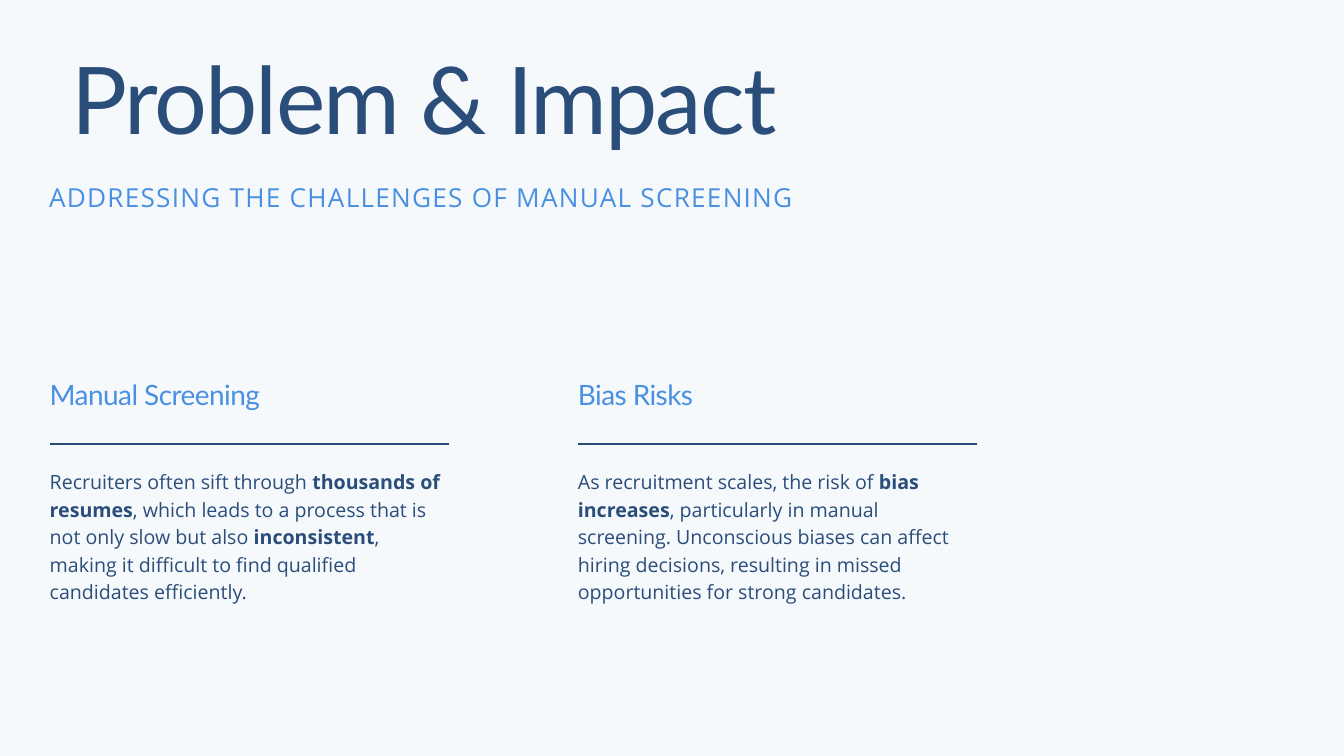
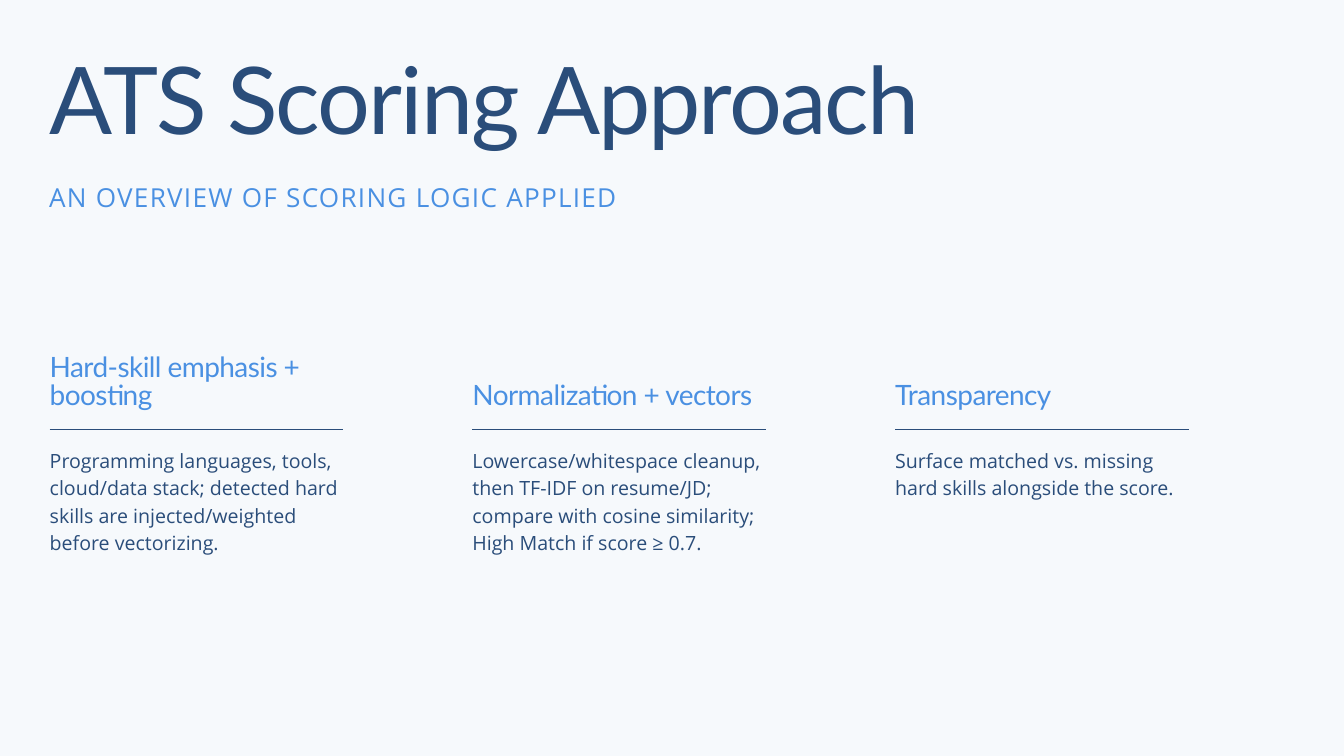
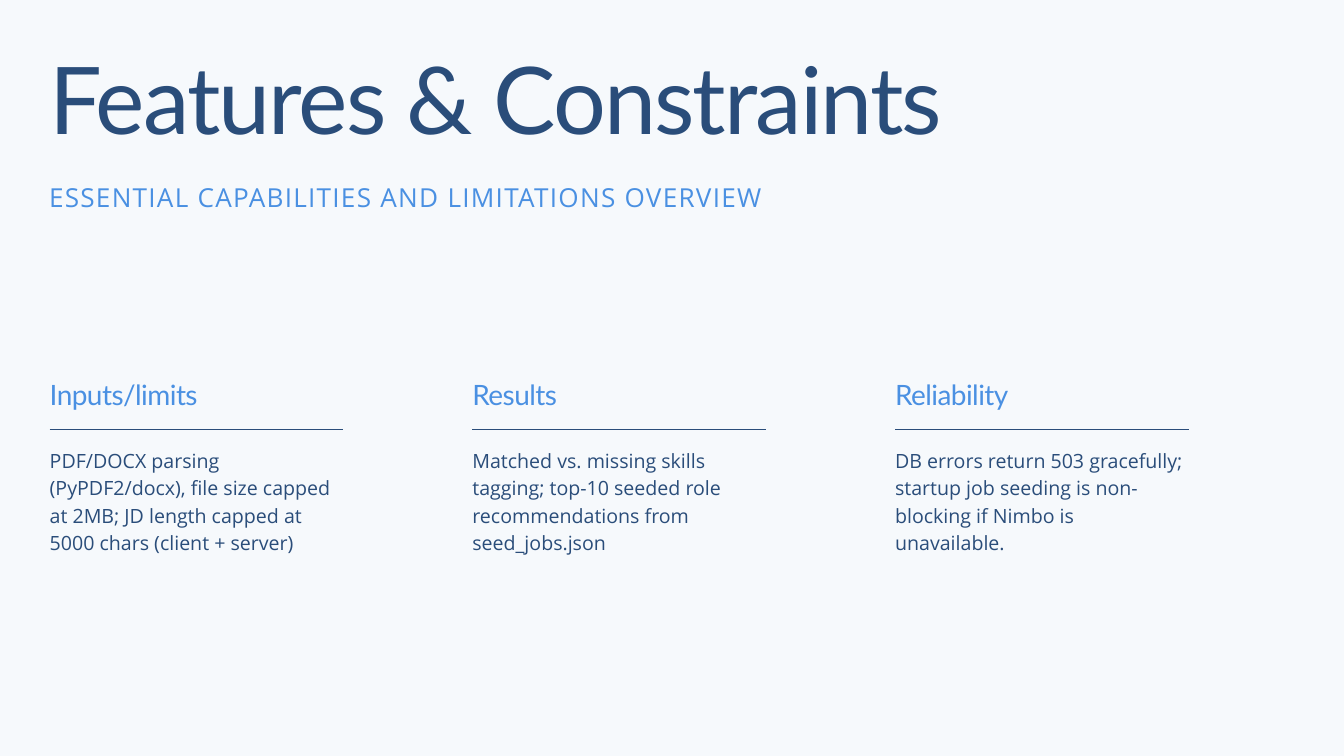
from dataclasses import dataclass

from pptx import Presentation
from pptx.dml.color import RGBColor
from pptx.enum.shapes import MSO_CONNECTOR
from pptx.enum.text import MSO_ANCHOR, MSO_AUTO_SIZE, PP_ALIGN
from pptx.oxml.ns import qn
from pptx.util import Inches, Pt

STRAIGHT = MSO_CONNECTOR.STRAIGHT
TOP = MSO_ANCHOR.TOP
GROW = MSO_AUTO_SIZE.SHAPE_TO_FIT_TEXT
LEFT = PP_ALIGN.LEFT


@dataclass(frozen=True)
class TextStyle:
    font: str
    size: float
    line: float
    color: RGBColor
    tracking: float = 0


@dataclass(frozen=True)
class Box:
    left: float
    top: float
    width: float
    height: float


class Theme:
    paper = RGBColor.from_string("F6F9FC")
    navy = RGBColor.from_string("2A4D7A")
    blue = RGBColor.from_string("4A90E2")
    title = TextStyle("Lato", 100, 100, navy, -2)
    subtitle = TextStyle("Open Sans", 28, 36.4, blue, 1.4)
    heading = TextStyle("Lato", 30, 30, blue, -0.6)
    body = TextStyle("Open Sans", 21, 29.4, navy)
    rule_width = 1.5


MARGIN = 0.74
COLUMN_GAP = 1.92
HEADING_BOTTOM = 6.12
HEADING_LINE = 0.42

SLIDES = [
    {
        "title": " Problem & Impact",
        "subtitle": "ADDRESSING THE CHALLENGES OF MANUAL SCREENING",
        "header_width": 16.97,
        "column_width": 5.94,
        "rule_top": 6.61,
        "body_top": 6.94,
        "columns": [
            ("Manual Screening", 1,
             "Recruiters often sift through **thousands of resumes**, which leads to a process "
             "that is not only slow but also **inconsistent**, making it difficult to find "
             "qualified candidates efficiently.", 1.62),
            ("Bias Risks", 1,
             "As recruitment scales, the risk of **bias increases**, particularly in manual "
             "screening. Unconscious biases can affect hiring decisions, resulting in missed "
             "opportunities for strong candidates.", 2.02),
        ],
    },
    {
        "title": "ATS Scoring Approach",
        "subtitle": "AN OVERVIEW OF SCORING LOGIC APPLIED",
        "header_width": 15.4,
        "column_width": 4.37,
        "rule_top": 6.39,
        "body_top": 6.62,
        "columns": [
            ("Hard-skill emphasis + boosting", 2,
             "Programming languages, tools, cloud/data stack; detected hard skills are "
             "injected/weighted before vectorizing.", 1.62),
            ("Normalization + vectors", 1,
             "Lowercase/whitespace cleanup, then TF-IDF on resume/JD; compare with cosine "
             "similarity; High Match if score ≥ 0.7.", 1.62),
            ("Transparency", 1,
             "Surface matched vs. missing hard skills alongside the score.", 0.81),
        ],
    },
    {
        "title": "Features & Constraints",
        "subtitle": "ESSENTIAL CAPABILITIES AND LIMITATIONS OVERVIEW",
        "header_width": 15.4,
        "column_width": 4.37,
        "rule_top": 6.39,
        "body_top": 6.62,
        "columns": [
            ("Inputs/limits", 1,
             "PDF/DOCX parsing (PyPDF2/docx), file size capped at 2MB; JD length capped at "
             "5000 chars (client + server)", 1.62),
            ("Results", 1,
             "Matched vs. missing skills tagging; top-10 seeded role recommendations from "
             "seed_jobs.json", 1.62),
            ("Reliability", 1,
             "DB errors return 503 gracefully; startup job seeding is non-blocking if Nimbo is "
             "unavailable.", 1.21),
        ],
    },
]


def place(shape, box):
    shape.left, shape.top = Inches(box.left), Inches(box.top)
    shape.width, shape.height = Inches(box.width), Inches(box.height)


def write(shape, text, style):
    frame = shape.text_frame
    frame.margin_left = frame.margin_top = frame.margin_right = frame.margin_bottom = 0
    frame.word_wrap = True
    frame.auto_size = GROW
    frame.vertical_anchor = TOP
    para = frame.paragraphs[0]
    para.alignment = LEFT
    para.line_spacing = Pt(style.line)
    para.space_before = para.space_after = Pt(0)
    properties = para._p.get_or_add_pPr()
    properties.set("marL", "0")
    properties.set("indent", "0")
    properties.append(properties.makeelement(qn("a:buNone"), {}))
    para.font.name = style.font
    para.font.size = Pt(style.size)
    para.font.color.rgb = style.color
    properties.find(qn("a:defRPr")).set("spc", str(round(style.tracking * 100)))
    for index, part in enumerate(text.split("**")):
        span = para.add_run()
        span.text = part
        if index % 2:
            span.font.bold = True


def add_text(page, box, text, style):
    shape = page.shapes.add_textbox(0, 0, 0, 0)
    place(shape, box)
    write(shape, text, style)


def add_rule(page, left, top, width):
    rule = page.shapes.add_connector(
        STRAIGHT, Inches(left), Inches(top), Inches(left + width), Inches(top))
    rule.line.color.rgb = Theme.navy
    rule.line.width = Pt(Theme.rule_width)
    properties = rule._element.spPr
    properties.append(properties.makeelement(qn("a:effectLst"), {}))


def add_header(page, box, title, subtitle):
    title_shape, subtitle_shape = page.shapes.title, page.placeholders[1]
    place(title_shape, Box(box.left, box.top, box.width, 1.51))
    write(title_shape, title, Theme.title)
    place(subtitle_shape, Box(box.left, box.top + 1.77, box.width, 0.49))
    write(subtitle_shape, subtitle, Theme.subtitle)


def add_column(page, box, column, rule_top):
    heading, heading_lines, body, body_height = column
    heading_height = heading_lines * HEADING_LINE
    heading_box = Box(box.left, HEADING_BOTTOM - heading_height, box.width + 0.02, heading_height)
    add_text(page, heading_box, heading, Theme.heading)
    add_text(page, Box(box.left, box.top, box.width, body_height), body, Theme.body)
    add_rule(page, box.left, rule_top, box.width)


def add_column_slide(deck, content):
    page = deck.slides.add_slide(deck.slide_layouts.get_by_name("Title and Content"))
    add_header(page, Box(0.73, 0.89, content["header_width"], 2.26),
               content["title"], content["subtitle"])
    width = content["column_width"]
    for index, column in enumerate(content["columns"]):
        left = MARGIN + index * (width + COLUMN_GAP)
        add_column(page, Box(left, content["body_top"], width, column[3]),
                   column, content["rule_top"])


def main():
    deck = Presentation()
    deck.slide_width, deck.slide_height = Inches(20), Inches(11.25)
    background = deck.slide_master.background.fill
    background.solid()
    background.fore_color.rgb = Theme.paper
    for content in SLIDES:
        add_column_slide(deck, content)
    deck.save("out.pptx")


if __name__ == "__main__":
    main()
